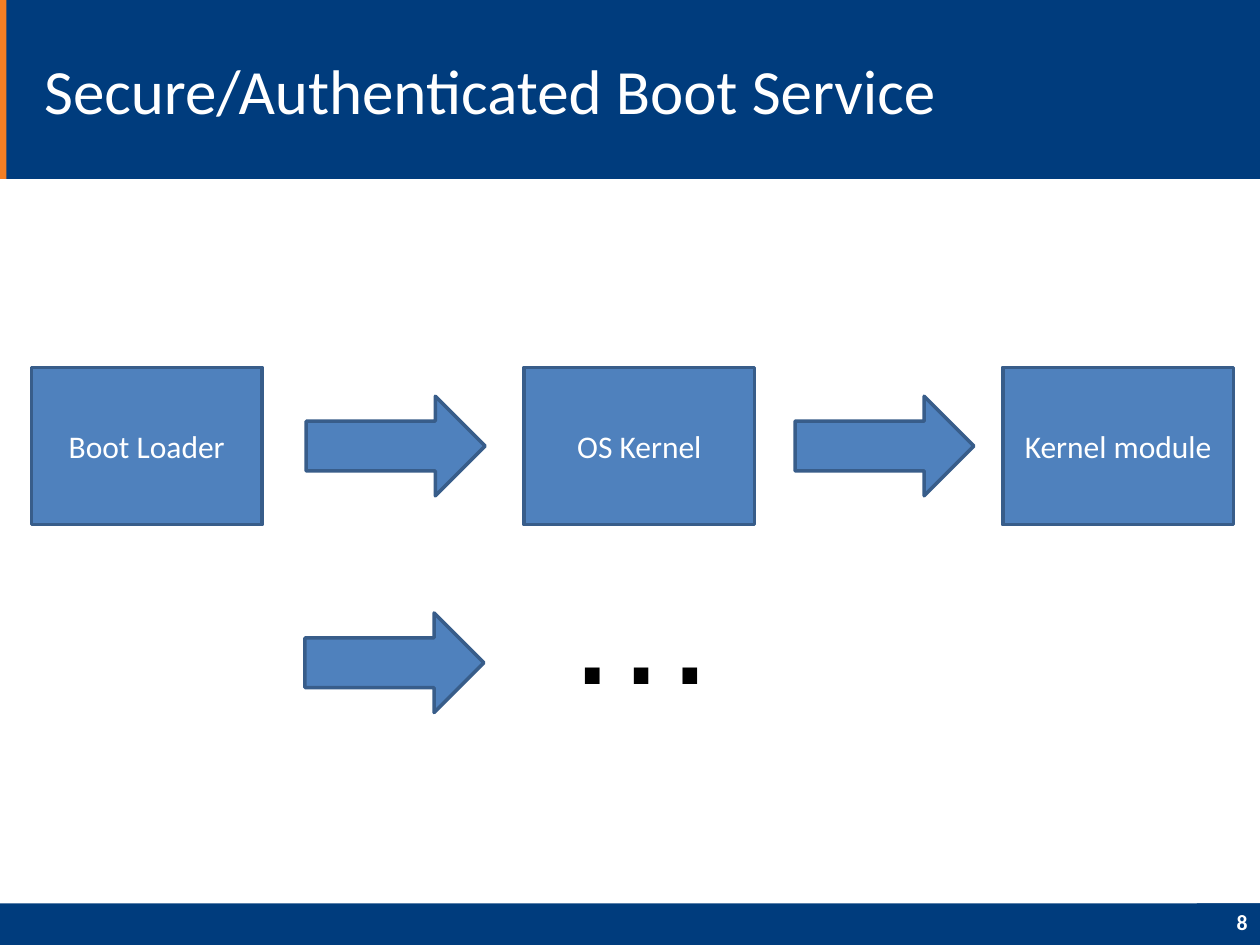
from pptx import Presentation
from pptx.dml.color import RGBColor
from pptx.enum.shapes import MSO_SHAPE
from pptx.enum.text import MSO_ANCHOR, PP_ALIGN
from pptx.util import Inches, Pt

NAVY = RGBColor(0x00, 0x3C, 0x7D)
ORANGE = RGBColor(0xF4, 0x7F, 0x24)
BLUE = RGBColor(0x4F, 0x81, 0xBD)
BLUE_EDGE = RGBColor(0x38, 0x5D, 0x8A)
WHITE = RGBColor(0xFF, 0xFF, 0xFF)
BLACK = RGBColor(0x00, 0x00, 0x00)

SLIDE_W, SLIDE_H = 10, 7.5
HEADER_H, FOOTER_H = 1.42, 0.33
FOOTER_Y = SLIDE_H - FOOTER_H
BOX_W, BOX_H = 1.83, 1.25
ARROW_W, ARROW_H = 1.42, 0.79
CHAIN_MID = 3.54  # centre line of the boot chain
NEXT_MID = 5.26   # centre line of the continuation
STAGES = [(0.25, "Boot Loader"), (4.16, "OS Kernel"), (7.96, "Kernel module")]
ARROWS = [(2.43, CHAIN_MID), (6.31, CHAIN_MID), (2.42, NEXT_MID)]


def place(shape, x, y, w, h):
    shape.left, shape.top = Inches(x), Inches(y)
    shape.width, shape.height = Inches(w), Inches(h)


def add_filled(s, kind, x, y, w, h, fill, edge=None):
    sp = s.shapes.add_shape(kind, Inches(x), Inches(y), Inches(w), Inches(h))
    sp.shadow.inherit = False
    sp.fill.solid()
    sp.fill.fore_color.rgb = fill
    if edge is None:
        sp.line.fill.background()
    else:
        sp.line.color.rgb = edge
        sp.line.width = Pt(2)
    return sp


def write(sp, text, size, color=WHITE, font="Calibri", bold=False,
          align=PP_ALIGN.LEFT, anchor=MSO_ANCHOR.MIDDLE):
    tf = sp.text_frame
    tf.word_wrap = True
    tf.vertical_anchor = anchor
    p = tf.paragraphs[0]
    p.alignment = align
    r = p.add_run()
    r.text = text
    r.font.size, r.font.name, r.font.bold = Pt(size), font, bold
    r.font.color.rgb = color
    return p


def add_bars(s):
    """Draw the header and footer bands behind the title."""
    for x, y, w, h, fill in [
        (0, FOOTER_Y, SLIDE_W, FOOTER_H, NAVY),
        (0, 0, SLIDE_W, HEADER_H, NAVY),
        (0, 0, 0.05, HEADER_H, ORANGE),
    ]:
        bar = add_filled(s, MSO_SHAPE.RECTANGLE, x, y, w, h, fill)
        s.shapes.title._element.addprevious(bar._element)


def add_title(s, text):
    title = s.shapes.title
    place(title, 0.25, 0.17, 7.33, 1.08)
    write(title, text, 36)


def add_page_number(s, number):
    sp = add_filled(s, MSO_SHAPE.RECTANGLE, SLIDE_W - 0.5, FOOTER_Y,
                    0.5, FOOTER_H, NAVY)
    p = write(sp, number, 12.4, bold=True, align=PP_ALIGN.RIGHT)
    p.line_spacing = 0.8


def add_stage(s, x, text):
    sp = add_filled(s, MSO_SHAPE.RECTANGLE, x, CHAIN_MID - BOX_H / 2,
                    BOX_W, BOX_H, BLUE, BLUE_EDGE)
    write(sp, text, 18, align=PP_ALIGN.CENTER)


def add_arrow(s, x, middle):
    add_filled(s, MSO_SHAPE.RIGHT_ARROW, x, middle - ARROW_H / 2,
               ARROW_W, ARROW_H, BLUE, BLUE_EDGE)


def add_ellipsis(s):
    box = s.shapes.add_textbox(Inches(4.38), Inches(4.16),
                               Inches(2.83), Inches(1.57))
    write(box, "…", 88, BLACK, "Arial", anchor=MSO_ANCHOR.TOP)


def main():
    prs = Presentation()
    prs.slide_width, prs.slide_height = Inches(SLIDE_W), Inches(SLIDE_H)
    s = prs.slides.add_slide(prs.slide_layouts[5])
    add_bars(s)
    add_title(s, "Secure/Authenticated Boot Service")
    add_page_number(s, "8")
    for x, text in STAGES:
        add_stage(s, x, text)
    for x, middle in ARROWS:
        add_arrow(s, x, middle)
    add_ellipsis(s)
    prs.save("out.pptx")


if __name__ == "__main__":
    main()
